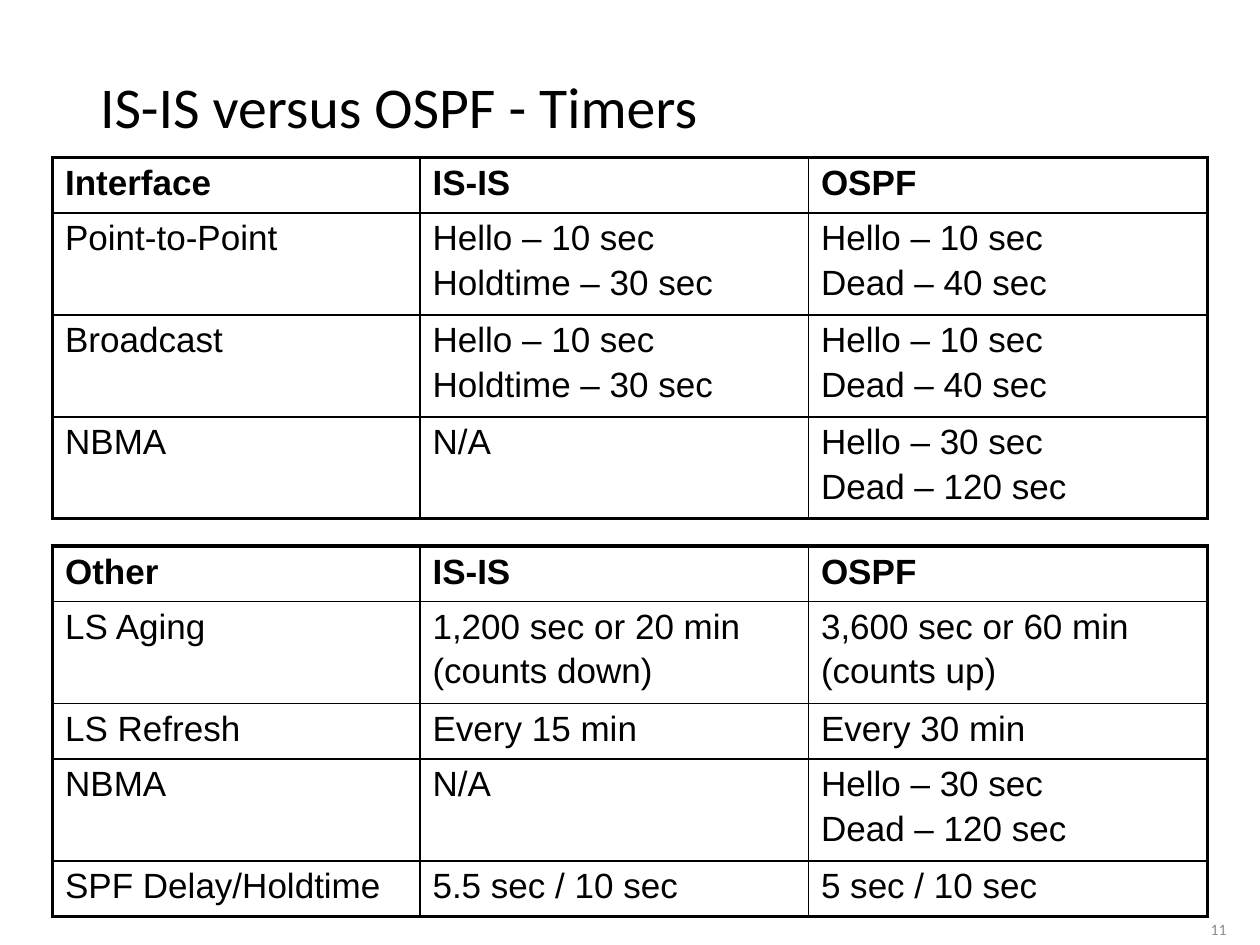
from lxml import etree
from pptx import Presentation
from pptx.dml.color import RGBColor
from pptx.enum.text import MSO_ANCHOR, MSO_AUTO_SIZE, PP_ALIGN
from pptx.oxml.ns import qn
from pptx.util import Pt

LEFT, RIGHT = PP_ALIGN.LEFT, PP_ALIGN.RIGHT
MIDDLE = MSO_ANCHOR.MIDDLE
NO_FIT = MSO_AUTO_SIZE.NONE

COLORS = {"text": "000000", "border": "000000", "number": "8C8C8C"}
TITLE_ONLY = 5
TABLE_LEFT = 30
COLUMN_WIDTHS = [210, 222, 228]
ROW_HEIGHTS = {1: 31.7, 2: 56}
THIN, THICK = 1, 2.25

INTERFACE_TIMERS = [
    ["Interface", "IS-IS", "OSPF"],
    ["Point-to-Point", "Hello – 10 sec\nHoldtime – 30 sec", "Hello – 10 sec\nDead – 40 sec"],
    ["Broadcast", "Hello – 10 sec\nHoldtime – 30 sec", "Hello – 10 sec\nDead – 40 sec"],
    ["NBMA", "N/A", "Hello – 30 sec\nDead – 120 sec"],
]
OTHER_TIMERS = [
    ["Other", "IS-IS", "OSPF"],
    ["LS Aging", "1,200 sec or 20 min\n(counts down)", "3,600 sec or 60 min\n(counts up)"],
    ["LS Refresh", "Every 15 min", "Every 30 min"],
    ["NBMA", "N/A", "Hello – 30 sec\nDead – 120 sec"],
    ["SPF Delay/Holdtime", "5.5 sec / 10 sec", "5 sec / 10 sec"],
]


class SlideBuilder:
    def __init__(self, slide, heading_font="Calibri", table_font="Arial"):
        self.slide = slide
        self.heading_font = heading_font
        self.table_font = table_font

    def format_runs(self, paragraph, font, size, color, bold=False):
        for run in paragraph.runs:
            run.font.name = font
            run.font.size = Pt(size)
            run.font.bold = bold
            run.font.color.rgb = RGBColor.from_string(COLORS[color])

    def place(self, shape, left, top, width, height):
        shape.left, shape.top = Pt(left), Pt(top)
        shape.width, shape.height = Pt(width), Pt(height)

    def title(self, text, left, top, width, height):
        shape = self.slide.shapes.title
        self.place(shape, left, top, width, height)
        frame = shape.text_frame
        frame.text = text
        frame.auto_size = NO_FIT
        frame.vertical_anchor = MIDDLE
        paragraph = frame.paragraphs[0]
        paragraph.alignment = LEFT
        paragraph.line_spacing = 0.9
        self.format_runs(paragraph, self.heading_font, 33, "text")

    def page_number(self, text, left, top, width, height):
        shape = self.slide.shapes.add_textbox(Pt(left), Pt(top), Pt(width), Pt(height))
        frame = shape.text_frame
        frame.text = text
        frame.word_wrap = True
        frame.vertical_anchor = MIDDLE
        paragraph = frame.paragraphs[0]
        paragraph.alignment = RIGHT
        self.format_runs(paragraph, self.heading_font, 9, "number")

    def borders(self, cell, widths):
        properties = cell._tc.get_or_add_tcPr()
        for index, (side, width) in enumerate(widths.items()):
            line = etree.Element(qn(f"a:ln{side}"), w=str(Pt(width)))
            fill = etree.SubElement(line, qn("a:solidFill"))
            etree.SubElement(fill, qn("a:srgbClr"), val=COLORS["border"])
            properties.insert(index, line)

    def cell(self, cell, text, bold):
        cell.fill.background()
        frame = cell.text_frame
        frame.text = text
        for index, paragraph in enumerate(frame.paragraphs):
            paragraph.space_before = Pt(3 if index else 0)
            self.format_runs(paragraph, self.table_font, 20, "text", bold)

    def table(self, rows, top):
        heights = [ROW_HEIGHTS[max(text.count("\n") + 1 for text in row)] for row in rows]
        last_row, last_column = len(rows) - 1, len(COLUMN_WIDTHS) - 1
        table = self.slide.shapes.add_table(
            len(rows), len(COLUMN_WIDTHS), Pt(TABLE_LEFT), Pt(top),
            Pt(sum(COLUMN_WIDTHS)), Pt(sum(heights))).table
        for column, width in zip(table.columns, COLUMN_WIDTHS):
            column.width = Pt(width)
        for row_index, (row, height) in enumerate(zip(rows, heights)):
            table.rows[row_index].height = Pt(height)
            for column_index, text in enumerate(row):
                cell = table.cell(row_index, column_index)
                self.cell(cell, text, bold=row_index == 0)
                self.borders(cell, {
                    "L": THICK if column_index == 0 else THIN,
                    "R": THICK if column_index == last_column else THIN,
                    "T": THICK if row_index == 0 else THIN,
                    "B": THICK if row_index == last_row else THIN,
                })


def main():
    presentation = Presentation()
    presentation.slide_width, presentation.slide_height = Pt(720), Pt(540)
    slide = presentation.slides.add_slide(presentation.slide_layouts[TITLE_ONLY])
    builder = SlideBuilder(slide)
    builder.page_number("11", 636, 522, 72, 18)
    builder.title("IS-IS versus OSPF - Timers", 50, 29, 620, 67)
    builder.table(INTERFACE_TIMERS, 90)
    builder.table(OTHER_TIMERS, 312)
    presentation.save("out.pptx")


if __name__ == "__main__":
    main()
